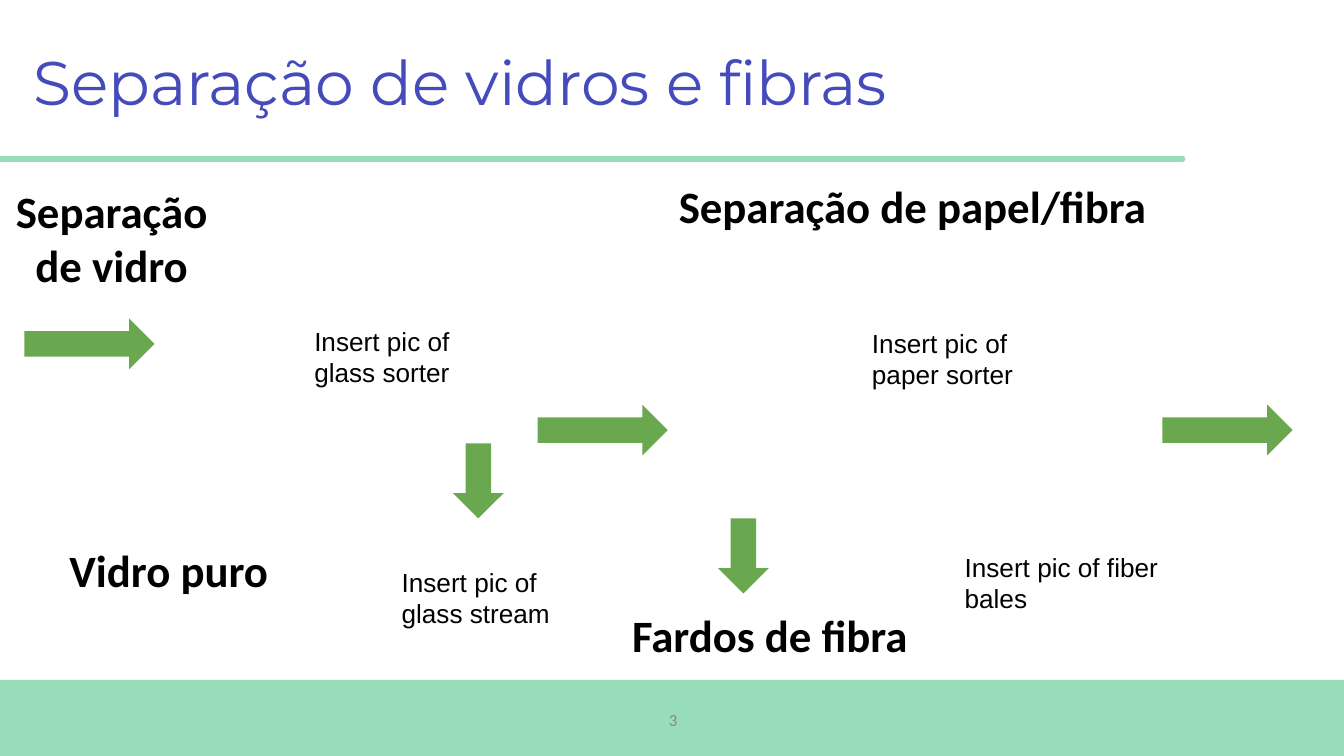
from lxml import etree
from pptx import Presentation
from pptx.dml.color import RGBColor
from pptx.enum.shapes import MSO_CONNECTOR, MSO_SHAPE
from pptx.enum.text import MSO_ANCHOR, MSO_AUTO_SIZE, PP_ALIGN
from pptx.oxml.ns import qn
from pptx.util import Cm, Pt

RECTANGLE, RIGHT_ARROW = MSO_SHAPE.RECTANGLE, MSO_SHAPE.RIGHT_ARROW
STRAIGHT = MSO_CONNECTOR.STRAIGHT
TOP, MIDDLE = MSO_ANCHOR.TOP, MSO_ANCHOR.MIDDLE
LEFT, CENTER = PP_ALIGN.LEFT, PP_ALIGN.CENTER
NO_FIT = MSO_AUTO_SIZE.NONE

MINT = RGBColor(0x98, 0xDD, 0xBA)
GREEN = RGBColor(0x6A, 0xA8, 0x4F)
INDIGO = RGBColor(0x45, 0x4B, 0xBB)
GRAY = RGBColor(0x88, 0x88, 0x88)
BLACK = RGBColor(0, 0, 0)

# All positions and sizes are in centimetres: left, top, width, height.
SLIDE_SIZE = (25.4, 14.29)
FOOTER_BAND = (0, 12.85, 25.4, 1.44)
RULE_Y, RULE_END = 3, 22.35

TITLE = ("Separação de vidros e fibras", (0.46, 0.23, 21.89, 2.77))
PAGE_NUMBER = ("3", (9.86, 13.23, 5.72, 0.76))
HEADINGS = [
    ("Separação de vidro", (-0.05, 3.23, 4.32, 2.57)),
    ("Vidro puro", (0.79, 10.01, 4.8, 1.55)),
    ("Separação de papel/fibra", (11.63, 3.12, 11.23, 1.55)),
    ("Fardos de fibra", (11.63, 11.23, 5.84, 1.55)),
]
CAPTION_SIZE = (4.17, 1.45)
CAPTIONS = [
    ("Insert pic of glass sorter", (5.69, 6.02)),
    ("Insert pic of paper sorter", (16.23, 6.05)),
    ("Insert pic of fiber bales", (17.98, 10.29)),
    ("Insert pic of glass stream", (7.34, 10.57)),
]
ARROW_GROUPS = [  # rotation, size, positions before rotation
    (0, (2.46, 0.96), [(0.46, 6.02), (10.16, 7.65), (21.97, 7.65)]),
    (90, (1.42, 0.96), [(8.33, 8.61), (13.34, 10.03)]),
]

TITLE_FONT = {"name": "Montserrat", "size": Pt(33), "bold": False}
HEADING_FONT = {"name": "Calibri", "size": Pt(24), "bold": True}
CAPTION_FONT = {"name": "Arial", "size": Pt(14)}
NUMBER_FONT = {"name": "Calibri", "size": Pt(9)}


def cm(values):
    return [Cm(value) for value in values]


def write(box, text, font, color, align, anchor, insets):
    """Fill a text shape; insets are (horizontal, vertical) in cm."""
    frame = box.text_frame
    horizontal, vertical = cm(insets)
    frame_format = {
        "word_wrap": True, "auto_size": NO_FIT, "vertical_anchor": anchor,
        "margin_left": horizontal, "margin_right": horizontal,
        "margin_top": vertical, "margin_bottom": vertical,
    }
    for attribute, value in frame_format.items():
        setattr(frame, attribute, value)
    paragraph = frame.paragraphs[0]
    paragraph.alignment = align
    run = paragraph.add_run()
    run.text = text
    for attribute, value in font.items():
        setattr(run.font, attribute, value)
    run.font.color.rgb = color
    return paragraph


def add_flat_shape(shapes, kind, place, color):
    shape = shapes.add_shape(kind, *cm(place))
    shape.shadow.inherit = False
    shape.fill.solid()
    shape.fill.fore_color.rgb = color
    shape.line.fill.background()
    return shape


def add_rule(shapes):
    rule = shapes.add_connector(STRAIGHT, *cm((0, RULE_Y, RULE_END, RULE_Y)))
    rule.line.color.rgb = MINT
    rule.line.width = Pt(3)
    properties = rule.element.spPr
    properties.find(qn("a:ln")).set("cap", "rnd")
    etree.SubElement(properties, qn("a:effectLst"))


def main():
    presentation = Presentation()
    presentation.slide_width, presentation.slide_height = cm(SLIDE_SIZE)
    slide = presentation.slides.add_slide(presentation.slide_layouts[5])
    shapes = slide.shapes

    add_flat_shape(shapes, RECTANGLE, FOOTER_BAND, MINT)
    text, place = PAGE_NUMBER
    write(shapes.add_textbox(*cm(place)), text, NUMBER_FONT, GRAY,
          CENTER, MIDDLE, (0.18, 0.1))

    text, place = TITLE
    title = shapes.title
    title.left, title.top, title.width, title.height = cm(place)
    heading = write(title, text, TITLE_FONT, INDIGO, LEFT, MIDDLE, (0.18, 0.1))
    heading.line_spacing = 0.9
    add_rule(shapes)

    for rotation, size, positions in ARROW_GROUPS:
        for position in positions:
            arrow = add_flat_shape(shapes, RIGHT_ARROW, position + size, GREEN)
            arrow.rotation = rotation

    for text, place in HEADINGS:
        write(shapes.add_textbox(*cm(place)), text, HEADING_FONT, BLACK,
              CENTER, TOP, (0.25, 0.25))
    for text, position in CAPTIONS:
        write(shapes.add_textbox(*cm(position + CAPTION_SIZE)), text,
              CAPTION_FONT, BLACK, LEFT, TOP, (0.25, 0.13))

    presentation.save("out.pptx")


if __name__ == "__main__":
    main()
